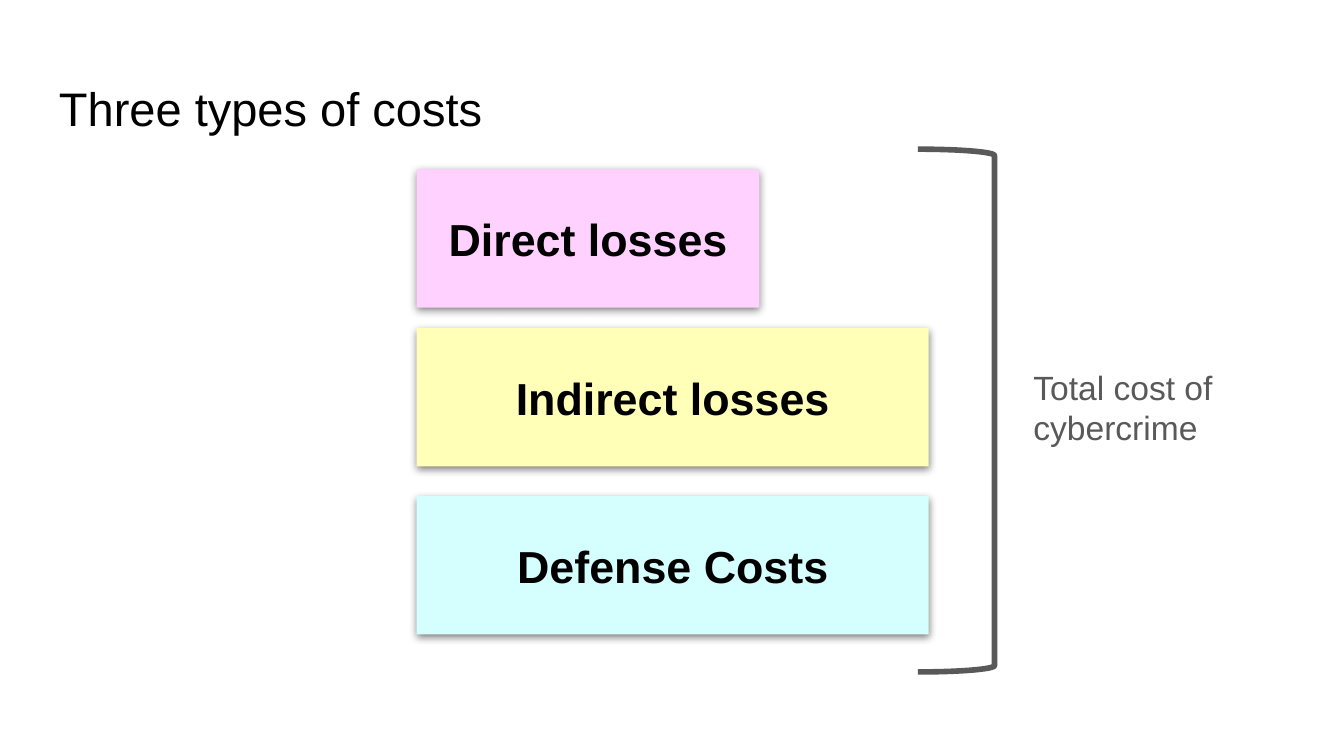
import dataclasses

import pptx
import pptx.dml.color
import pptx.enum.shapes
import pptx.enum.text
import pptx.oxml
import pptx.oxml.ns
import pptx.util

Inches = pptx.util.Inches
Pt = pptx.util.Pt
SHAPE = pptx.enum.shapes.MSO_SHAPE
ALIGN = pptx.enum.text.PP_ALIGN
ANCHOR = pptx.enum.text.MSO_ANCHOR


@dataclasses.dataclass(frozen=True)
class Theme:
    font: str = "Arial"
    ink: str = "000000"
    muted: str = "595959"
    direct: str = "FFD1FF"
    indirect: str = "FFFFB7"
    defense: str = "D5FFFF"
    title_size: float = 25.2
    box_size: float = 24
    label_size: float = 18


THEME = Theme()


def rgb(value):
    return pptx.dml.color.RGBColor.from_string(value)


def write(s, text, size, color=THEME.ink, bold=False, align=ALIGN.LEFT, anchor=ANCHOR.TOP):
    tf = s.text_frame
    tf.word_wrap = True
    tf.vertical_anchor = anchor
    tf.margin_left = tf.margin_right = tf.margin_top = tf.margin_bottom = Inches(0.1)
    p = tf.paragraphs[0]
    p.alignment = align
    r = p.add_run()
    r.text = text
    r.font.name = THEME.font
    r.font.size = Pt(size)
    r.font.bold = bold
    r.font.color.rgb = rgb(color)


def add_shadow(s):
    s.shadow.inherit = False
    effects = s._element.spPr.find(pptx.oxml.ns.qn("a:effectLst"))
    effects.append(pptx.oxml.parse_xml(
        f'<a:outerShdw {pptx.oxml.ns.nsdecls("a")} blurRad="{Pt(4.5)}" dist="{Pt(1.5)}" '
        'dir="5400000" algn="bl" rotWithShape="0">'
        f'<a:srgbClr val="{THEME.ink}"><a:alpha val="50000"/></a:srgbClr></a:outerShdw>'
    ))


def add_title(slide, left, top, width, height):
    s = slide.shapes.add_textbox(left, top, width, height)
    write(s, "Three types of costs", THEME.title_size)


def add_cost_boxes(slide, left, top, width):
    costs = [
        ("Defense Costs", THEME.defense, Inches(2.43), width),
        ("Indirect losses", THEME.indirect, Inches(1.18), width),
        ("Direct losses", THEME.direct, 0, Inches(2.55)),
    ]
    for text, color, offset, box_width in costs:
        s = slide.shapes.add_shape(SHAPE.RECTANGLE, left, top + offset, box_width, Inches(1.03))
        s.fill.solid()
        s.fill.fore_color.rgb = rgb(color)
        s.line.fill.background()
        add_shadow(s)
        write(s, text, THEME.box_size, bold=True, align=ALIGN.CENTER, anchor=ANCHOR.MIDDLE)


def add_total(slide, left, top, height):
    label = slide.shapes.add_textbox(
        left + Inches(0.76), top + Inches(1.52), Inches(1.55), Inches(1.52))
    write(label, "Total cost of cybercrime", THEME.label_size, color=THEME.muted)
    bracket = slide.shapes.add_shape(SHAPE.RIGHT_BRACKET, left, top, Inches(0.57), height)
    bracket.adjustments[0] = 0.083
    bracket.shadow.inherit = False
    bracket.fill.background()
    bracket.line.color.rgb = rgb(THEME.muted)
    bracket.line.width = Pt(3)


def main():
    prs = pptx.Presentation()
    prs.slide_width = Inches(10)
    prs.slide_height = prs.slide_width * 9 // 16
    slide = prs.slides.add_slide(prs.slide_layouts[6])
    add_title(slide, Inches(0.34), Inches(0.49), Inches(9.32), Inches(0.63))
    add_cost_boxes(slide, Inches(3.1), Inches(1.26), Inches(3.81))
    add_total(slide, Inches(6.83), Inches(1.11), Inches(3.89))
    prs.save("out.pptx")


if __name__ == "__main__":
    main()
